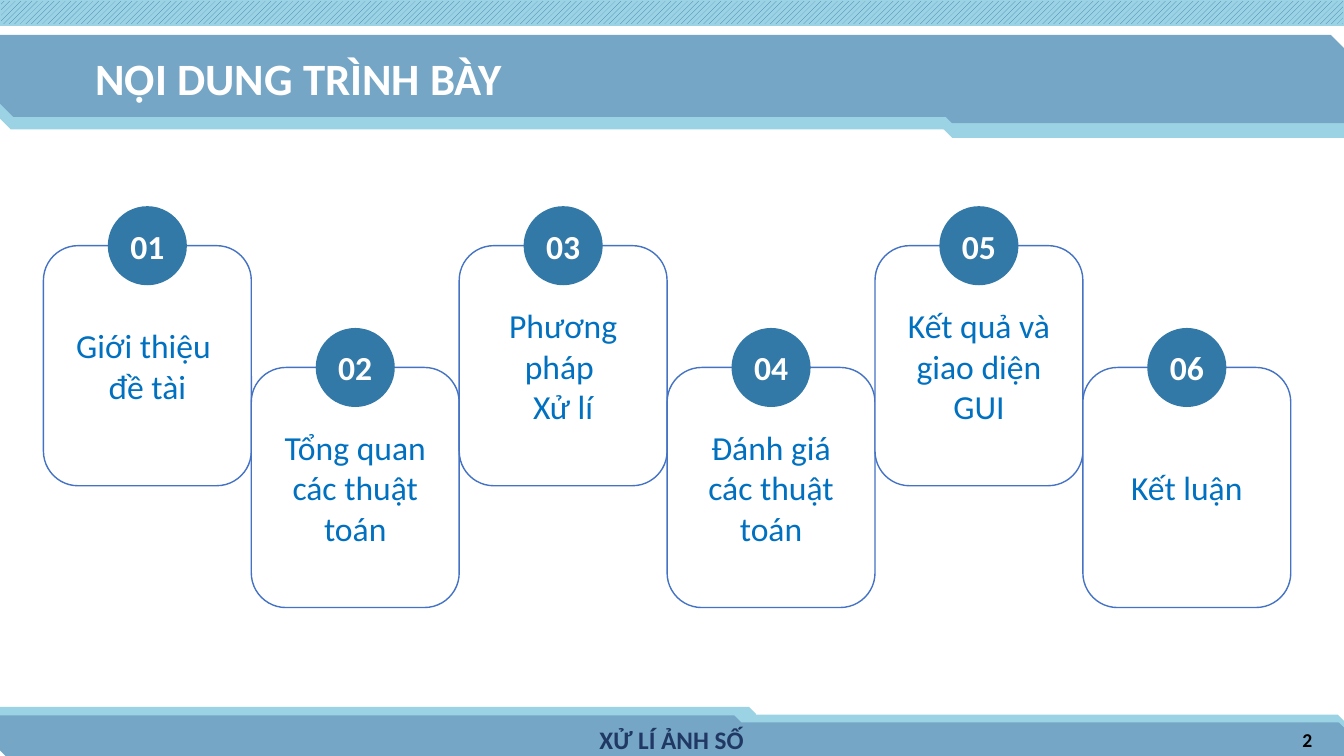
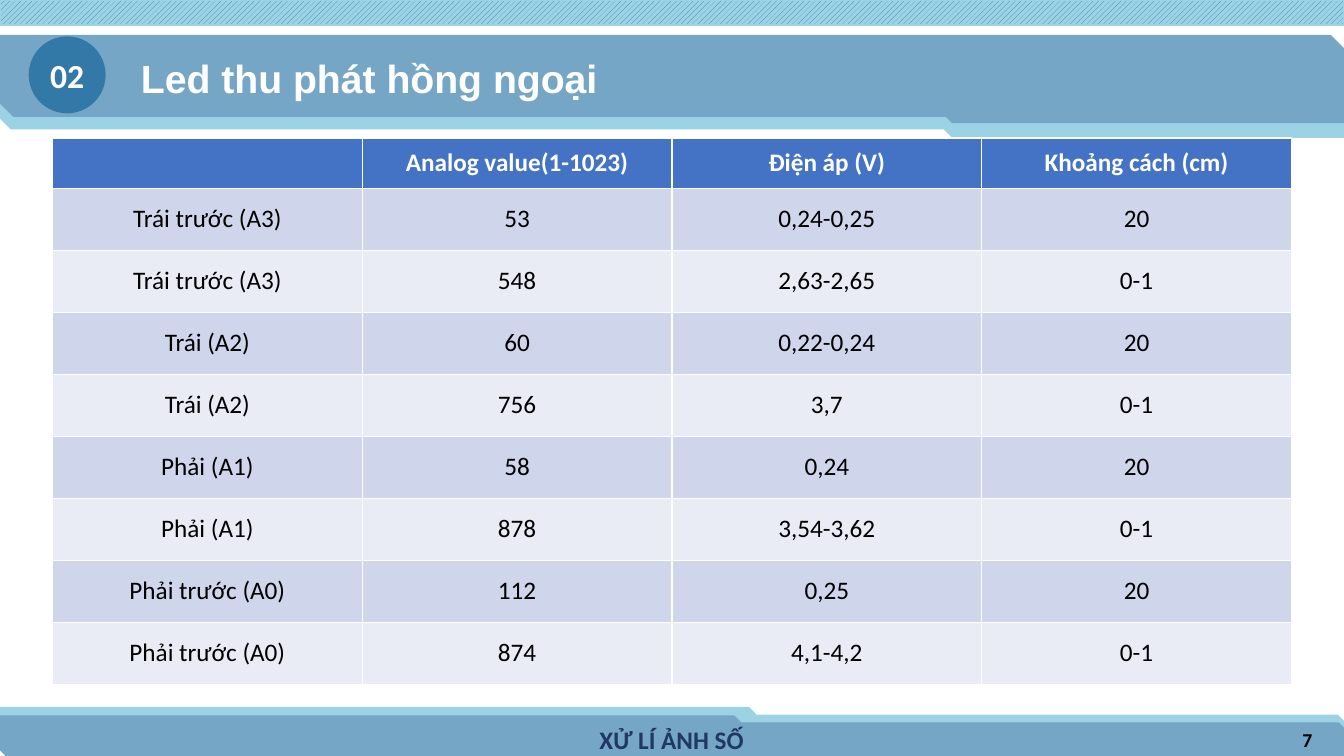
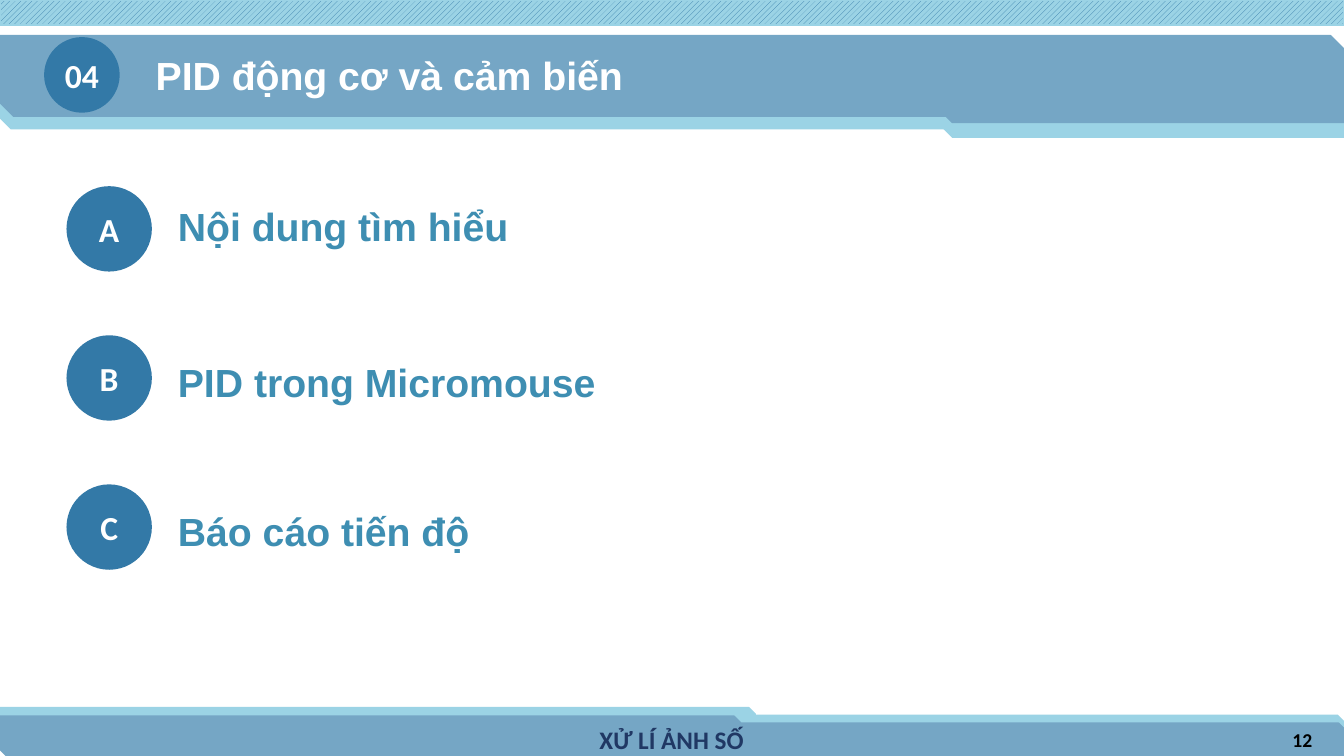
"""Build three slides on image processing: agenda, infrared sensor readings and PID topics."""
from pptx import Presentation
from pptx.dml.color import RGBColor
from pptx.enum.dml import MSO_PATTERN
from pptx.enum.shapes import MSO_SHAPE
from pptx.enum.text import MSO_ANCHOR, MSO_AUTO_SIZE, PP_ALIGN
from pptx.util import Pt

WHITE = RGBColor(0xFF, 0xFF, 0xFF)
BLACK = RGBColor(0x00, 0x00, 0x00)
SKY = RGBColor(0x9B, 0xD3, 0xE5)
STEEL = RGBColor(0x75, 0xA6, 0xC5)
OCEAN = RGBColor(0x33, 0x79, 0xA7)
TEAL = RGBColor(0x3E, 0x8E, 0xB2)
NAVY = RGBColor(0x20, 0x38, 0x64)
BLUE = RGBColor(0x44, 0x72, 0xC4)
CARD_TEXT = RGBColor(0x00, 0x70, 0xC0)
ROW_DARK = RGBColor(0xCF, 0xD5, 0xEA)
ROW_LIGHT = RGBColor(0xE9, 0xEB, 0xF5)

SLIDE_WIDTH, SLIDE_HEIGHT = 960, 540


def write(frame, text, size, color, bold=True, font="Calibri",
          align=PP_ALIGN.LEFT, anchor=MSO_ANCHOR.MIDDLE, spacing=1.0, after=0):
    """Fill a text frame and format all its runs alike."""
    frame.text = text
    frame.word_wrap = True
    frame.auto_size = MSO_AUTO_SIZE.NONE
    frame.vertical_anchor = anchor
    for paragraph in frame.paragraphs:
        paragraph.alignment = align
        paragraph.line_spacing = spacing
        paragraph.space_before = Pt(0)
        paragraph.space_after = Pt(after)
        for run in paragraph.runs:
            run.font.name = font
            run.font.size = Pt(size)
            run.font.bold = bold
            run.font.color.rgb = color


def add_badge(slide, label, left, top, size):
    """Add a round badge with a short white label."""
    badge = slide.shapes.add_shape(MSO_SHAPE.OVAL, Pt(left), Pt(top), Pt(size), Pt(size))
    badge.shadow.inherit = False
    badge.fill.solid()
    badge.fill.fore_color.rgb = OCEAN
    badge.line.fill.background()
    write(badge.text_frame, label, 24, WHITE, align=PP_ALIGN.CENTER)
    badge.text_frame.margin_left = badge.text_frame.margin_right = 0


prs = Presentation()
prs.slide_width, prs.slide_height = Pt(SLIDE_WIDTH), Pt(SLIDE_HEIGHT)
layout = prs.slide_layouts[5]
for placeholder in list(layout.placeholders):
    if placeholder.placeholder_format.idx != 0:
        placeholder.element.getparent().remove(placeholder.element)

agenda = prs.slides.add_slide(layout)
readings = prs.slides.add_slide(layout)
topics = prs.slides.add_slide(layout)

bands = [
    (405, 511, 555, 27.5, SKY),
    (0, 505.5, 539.5, 27.5, SKY),
    (448.5, 516.5, 511.5, 23.5, STEEL),
    (0, 511.5, 529, 28.5, STEEL),
    (671, 42, 289, 56, SKY),
    (0, 44.5, SLIDE_WIDTH, 47.5, SKY),
    (0, 25.5, SLIDE_WIDTH, 57.5, STEEL),
    (0, 0, SLIDE_WIDTH, 18, None),
    (671, 31.5, 289, 56, STEEL),
]
for left, top, width, height, color in bands:
    outline = MSO_SHAPE.SNIP_2_DIAG_RECTANGLE if color else MSO_SHAPE.RECTANGLE
    band = agenda.shapes.add_shape(outline, Pt(left), Pt(top), Pt(width), Pt(height))
    band.shadow.inherit = False
    if color:
        band.fill.solid()
        band.fill.fore_color.rgb = color
    else:
        band.fill.patterned()
        band.fill.pattern = MSO_PATTERN.WIDE_UPWARD_DIAGONAL
        band.fill.fore_color.rgb = OCEAN
        band.fill.back_color.rgb = SKY
    band.line.color.rgb = color or SKY
    band.line.width = Pt(1)
    layout.shapes.element.append(band.element)

course = agenda.shapes.add_textbox(Pt(354), Pt(513.5), Pt(251.5), Pt(29))
write(course.text_frame, "XỬ LÍ ẢNH SỐ", 18, NAVY, align=PP_ALIGN.CENTER)
layout.shapes.element.append(course.element)

arial_heading = dict(size=28, font="Arial", anchor=MSO_ANCHOR.TOP, spacing=0.9, after=12)
agenda_heading = dict(size=32, anchor=MSO_ANCHOR.TOP)
headings = [
    (agenda, "NỘI DUNG TRÌNH BÀY", 61, 32.5, 478, 46, agenda_heading, "2"),
    (readings, "Led thu phát hồng ngoại", 93.5, 35.5, 387, 32, arial_heading, "7"),
    (topics, "PID động cơ và cảm biến", 104, 33.5, 463, 31, arial_heading, "12"),
]
for slide, text, left, top, width, height, style, number in headings:
    title = slide.shapes.title
    title.left, title.top, title.width, title.height = Pt(left), Pt(top), Pt(width), Pt(height)
    write(title.text_frame, text, color=WHITE, **style)
    page = slide.shapes.add_textbox(Pt(728.5), Pt(514), Pt(216), Pt(29))
    write(page.text_frame, number, 14, BLACK, align=PP_ALIGN.RIGHT)

CARD_WIDTH, CARD_HEIGHT, CARD_BADGE = 148.5, 171.5, 56.5
chapters = [
    "Giới thiệu \nđề tài",
    "Tổng quan các thuật toán",
    "Phương pháp \nXử lí",
    "Đánh giá các thuật toán",
    "Kết quả và giao diện GUI",
    "Kết luận",
]
for index, chapter in enumerate(chapters):
    left = 31 + index * CARD_WIDTH
    top = 175.5 + index % 2 * 87
    card = agenda.shapes.add_shape(
        MSO_SHAPE.ROUNDED_RECTANGLE, Pt(left), Pt(top), Pt(CARD_WIDTH), Pt(CARD_HEIGHT))
    card.shadow.inherit = False
    card.fill.solid()
    card.fill.fore_color.rgb = WHITE
    card.line.color.rgb = BLUE
    card.line.width = Pt(1)
    write(card.text_frame, chapter, 24, CARD_TEXT, bold=False, align=PP_ALIGN.CENTER)
    add_badge(agenda, f"{index + 1:02}", left + (CARD_WIDTH - CARD_BADGE) / 2,
              top - CARD_BADGE / 2, CARD_BADGE)

add_badge(readings, "02", 20.5, 26, 55)
sensor_rows = [
    ("", "Analog value(1-1023)", "Điện áp (V)", "Khoảng cách (cm)"),
    ("Trái trước (A3)", "53", "0,24-0,25", "20"),
    ("Trái trước (A3)", "548", "2,63-2,65", "0-1"),
    ("Trái (A2)", "60", "0,22-0,24", "20"),
    ("Trái (A2)", "756", "3,7", "0-1"),
    ("Phải (A1)", "58", "0,24", "20"),
    ("Phải (A1)", "878", "3,54-3,62", "0-1"),
    ("Phải trước (A0)", "112", "0,25", "20"),
    ("Phải trước (A0)", "874", "4,1-4,2", "0-1"),
]
sensors = readings.shapes.add_table(
    len(sensor_rows), 4, Pt(37.5), Pt(98.5), Pt(885), Pt(391)).table
for row_index, values in enumerate(sensor_rows):
    is_header = row_index == 0
    sensors.rows[row_index].height = Pt(36 if is_header else 44.3)
    band_color = BLUE if is_header else ROW_DARK if row_index % 2 else ROW_LIGHT
    for column_index, value in enumerate(values):
        cell = sensors.cell(row_index, column_index)
        cell.fill.solid()
        cell.fill.fore_color.rgb = band_color
        cell.vertical_anchor = MSO_ANCHOR.MIDDLE
        paragraph = cell.text_frame.paragraphs[0]
        paragraph.text = value
        paragraph.alignment = PP_ALIGN.CENTER
        for run in paragraph.runs:
            run.font.name = "Calibri"
            run.font.size = Pt(18)
            run.font.bold = is_header
            run.font.color.rgb = WHITE if is_header else BLACK

add_badge(topics, "04", 31.5, 26.5, 54)
topic_lines = [
    ("A", "Nội dung tìm hiểu", 141),
    ("B", "PID trong Micromouse", 252.5),
    ("C", "Báo cáo tiến độ", 359),
]
for index, (letter, text, text_top) in enumerate(topic_lines):
    add_badge(topics, letter, 47.5, 133 + index * 106.5, 61)
    topic = topics.shapes.add_textbox(Pt(120), Pt(text_top), Pt(478), Pt(34.5))
    write(topic.text_frame, text, color=TEAL, **arial_heading)
    topic.text_frame.margin_top = topic.text_frame.margin_bottom = Pt(7.2)

for slide in (readings, topics):
    slide.shapes.title.text_frame.margin_top = Pt(7.2)

prs.save("out.pptx")
